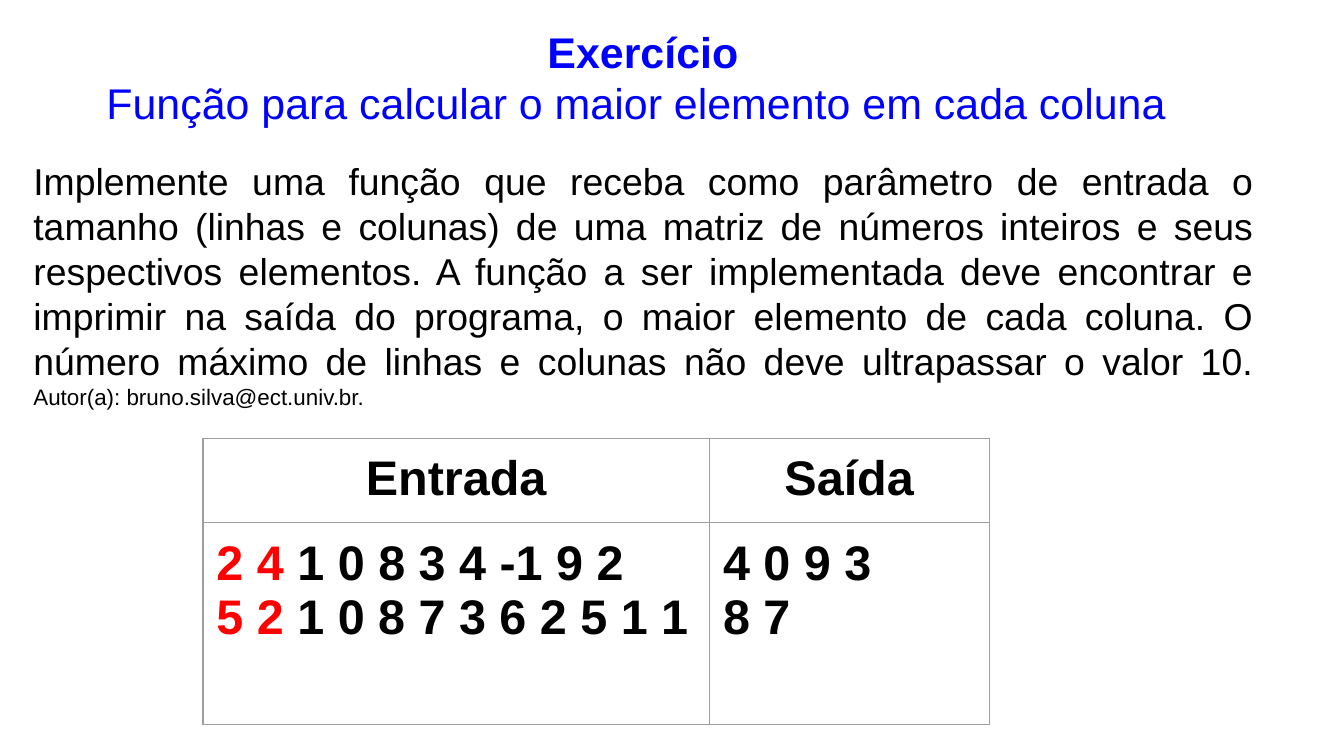
from dataclasses import dataclass
from lxml import etree
from pptx import Presentation
from pptx.dml.color import RGBColor
from pptx.enum.text import MSO_ANCHOR, MSO_AUTO_SIZE, PP_ALIGN
from pptx.oxml.ns import qn
from pptx.util import Inches, Pt

LEFT, CENTER, JUSTIFY = PP_ALIGN.LEFT, PP_ALIGN.CENTER, PP_ALIGN.JUSTIFY
TOP = MSO_ANCHOR.TOP
FIXED = MSO_AUTO_SIZE.NONE


@dataclass(frozen=True)
class Theme:
    font: str = "Arial"
    blue: str = "0000FF"
    black: str = "000000"
    red: str = "FF0000"
    rule: str = "9E9E9E"
    title: int = 23
    body: int = 20
    small: int = 12
    cell: int = 26
    pad: float = 0.1


THEME = Theme()

TASK = (
    "Implemente uma função que receba como parâmetro de entrada o tamanho "
    "(linhas e colunas) de uma matriz de números inteiros e seus respectivos "
    "elementos. A função a ser implementada deve encontrar e imprimir na saída "
    "do programa, o maior elemento de cada coluna. O número máximo de linhas e "
    "colunas não deve ultrapassar o valor 10."
)
AUTHOR = "Autor(a): bruno.silva@ect.univ.br. "


def write(para, text, size=THEME.cell, color=THEME.black, bold=False):
    run = para.add_run()
    run.text = text
    font = run.font
    font.name, font.size, font.bold = THEME.font, Pt(size), bold
    font.color.rgb = RGBColor.from_string(color)


def lines(frame, count, align):
    paras = [frame.paragraphs[0]]
    paras += [frame.add_paragraph() for _ in range(count - 1)]
    for para in paras:
        para.alignment = align
    return paras


def inset(part):
    part.vertical_anchor = TOP
    part.margin_left = part.margin_right = Inches(THEME.pad)
    part.margin_top = part.margin_bottom = Inches(THEME.pad)


def place(shape, left, top, width, height):
    shape.left, shape.top = Inches(left), Inches(top)
    shape.width, shape.height = Inches(width), Inches(height)
    frame = shape.text_frame
    frame.word_wrap = True
    frame.auto_size = FIXED
    inset(frame)
    return frame


def border(cell):
    props = cell._tc.get_or_add_tcPr()
    for spot, side in enumerate(("lnL", "lnR", "lnT", "lnB")):
        line = etree.Element(qn("a:" + side), w=str(Pt(0.75)))
        fill = etree.SubElement(line, qn("a:solidFill"))
        etree.SubElement(fill, qn("a:srgbClr"), val=THEME.rule)
        props.insert(spot, line)


def fill_cell(cell, rows, align):
    cell.fill.background()
    border(cell)
    inset(cell)
    for para, (size, rest) in zip(lines(cell.text_frame, len(rows), align), rows):
        if size:
            write(para, size, color=THEME.red, bold=True)
        write(para, rest, bold=True)


def add_title(slide):
    frame = place(slide.shapes.title, 0.12, 0.09, 9.33, 0.71)
    head, sub = lines(frame, 2, CENTER)
    write(head, "Exercício", size=THEME.title, color=THEME.blue, bold=True)
    write(sub, "Função para calcular o maior elemento em cada coluna ",
          size=THEME.title, color=THEME.blue)


def add_task(slide):
    box = slide.shapes.add_textbox(0, 0, 0, 0)
    frame = place(box, 0.15, 1.08, 9.28, 2.18)
    para = lines(frame, 1, JUSTIFY)[0]
    write(para, TASK, size=THEME.body)
    para.add_line_break()
    write(para, AUTHOR, size=THEME.small)


def add_cases(slide):
    widths, heights = (3.77, 2.08), (0.63, 1.5)
    table = slide.shapes.add_table(
        2, 2, Inches(1.51), Inches(3.26),
        Inches(sum(widths)), Inches(sum(heights))).table
    table.horz_banding = False
    for col, width in zip(table.columns, widths):
        col.width = Inches(width)
    for row, height in zip(table.rows, heights):
        row.height = Inches(height)
    cases = (
        ("Entrada", (("2 4 ", "1 0 8 3 4 -1 9 2"),
                     ("5 2", " 1 0 8 7 3 6 2 5 1 1"))),
        ("Saída", (("", "4 0 9 3"), ("", "8 7"))),
    )
    for col, (head, rows) in enumerate(cases):
        fill_cell(table.cell(0, col), (("", head),), CENTER)
        fill_cell(table.cell(1, col), rows, LEFT)


def main():
    deck = Presentation()
    deck.slide_width = Inches(10)
    deck.slide_height = deck.slide_width * 9 // 16
    slide = deck.slides.add_slide(deck.slide_layouts[5])
    add_title(slide)
    add_cases(slide)
    add_task(slide)
    deck.save("out.pptx")


main()
